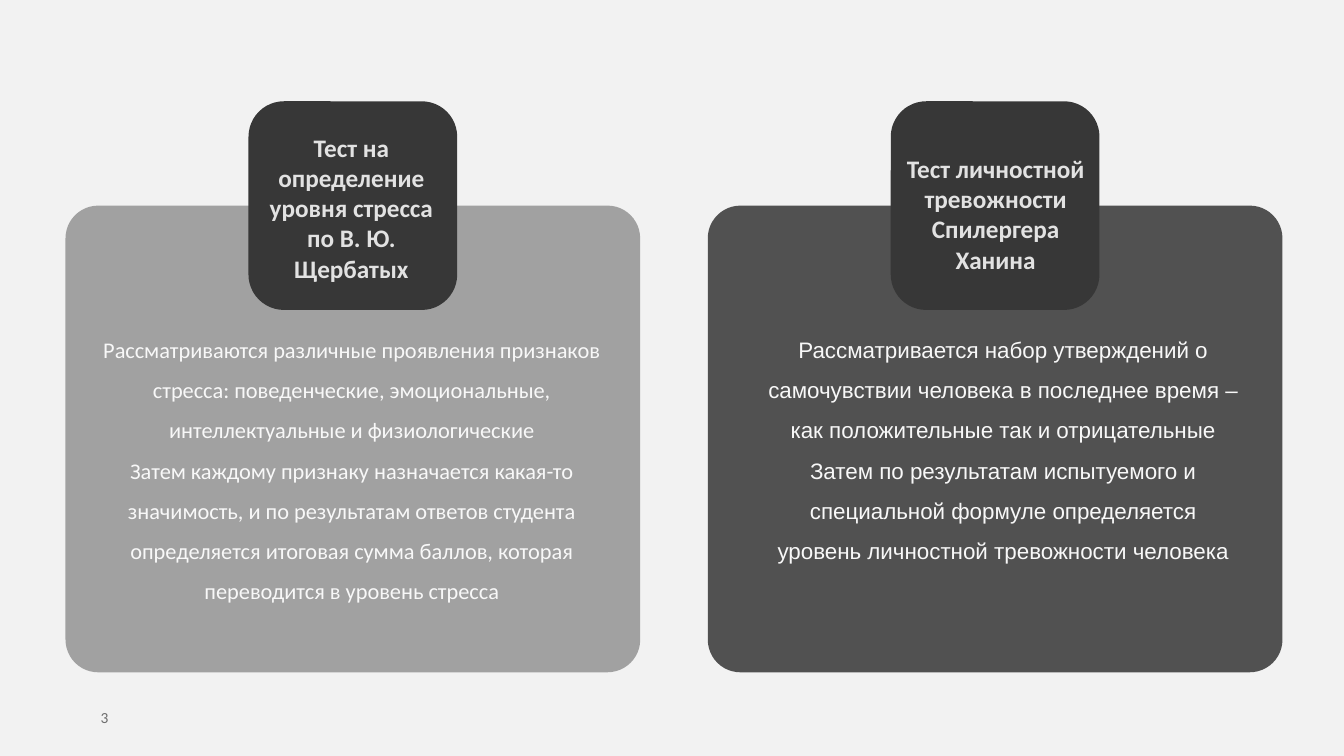
import pptx
import pptx.util
import pptx.dml.color
import pptx.enum.shapes
import pptx.enum.text
import pptx.oxml
import pptx.oxml.ns

RGBColor = pptx.dml.color.RGBColor
BACKGROUND = RGBColor(0xF2, 0xF2, 0xF2)
LIGHT_CARD = RGBColor(0x87, 0x87, 0x87)
DARK_CARD = RGBColor(0x1C, 0x1C, 0x1C)
BADGE = RGBColor(0x37, 0x37, 0x37)
HEADING = RGBColor(0xE2, 0xE2, 0xE2)
BODY = RGBColor(0xF8, 0xF8, 0xF8)
PAGE_NUMBER = RGBColor(0x6E, 0x6E, 0x6E)

# Heading and body boxes are (left, top, width, height) in inches.
TESTS = [
    {
        "heading": "Тест на определение уровня стресса по В. Ю. Щербатых",
        "heading_box": (2.56, 1.26, 1.85, 1.62),
        "body": [
            "Рассматриваются различные проявления признаков стресса: "
            "поведенческие, эмоциональные, интеллектуальные и физиологические",
            "Затем каждому признаку назначается какая-то значимость, и по "
            "результатам ответов студента определяется итоговая сумма баллов, "
            "которая переводится в уровень стресса",
        ],
        "body_box": (0.74, 3.15, 5.5, 2.89),
        "font": "Calibri",
        "color": LIGHT_CARD,
    },
    {
        "heading": "Тест личностной тревожности Спилергера Ханина",
        "heading_box": (8.72, 1.47, 2.31, 1.31),
        "body": [
            "Рассматривается набор утверждений о самочувствии человека в "
            "последнее время – как положительные так и отрицательные",
            "Затем по результатам испытуемого и специальной формуле "
            "определяется уровень личностной тревожности человека",
        ],
        "body_box": (7.52, 3.15, 4.86, 2.48),
        "font": "Arial",
        "color": DARK_CARD,
    },
]

SLIDE_W, SLIDE_H = 13.33, 7.5
CARD_LEFT, CARD_TOP, CARD_W, CARD_H = 0.65, 2.04, 5.7, 4.63
CARD_STEP = 6.37
BADGE_SIZE = 2.07
CENTER = pptx.enum.text.PP_ALIGN.CENTER
LEFT = pptx.enum.text.PP_ALIGN.LEFT


def add_rounded(slide, box, color, radius, opacity=100):
    """Add a borderless rounded rectangle; opacity is in percent."""
    panel = slide.shapes.add_shape(
        pptx.enum.shapes.MSO_SHAPE.ROUNDED_RECTANGLE, *map(pptx.util.Inches, box))
    panel.adjustments[0] = radius
    panel.shadow.inherit = False
    panel.line.fill.background()
    panel.fill.solid()
    panel.fill.fore_color.rgb = color
    if opacity < 100:
        tint = panel.fill._xPr.find(".//" + pptx.oxml.ns.qn("a:srgbClr"))
        alpha = pptx.oxml.parse_xml(
            f'<a:alpha {pptx.oxml.ns.nsdecls("a")} val="{opacity * 1000}"/>')
        tint.append(alpha)


def add_text(slide, box, lines, font, size, color, bold=False, align=CENTER, spacing=1.0):
    frame = slide.shapes.add_textbox(*map(pptx.util.Inches, box)).text_frame
    frame.word_wrap = True
    frame.text = "\n".join(lines)
    for paragraph in frame.paragraphs:
        paragraph.alignment = align
        paragraph.line_spacing = spacing
        paragraph.font.name = font
        paragraph.font.size = pptx.util.Pt(size)
        paragraph.font.bold = bold
        paragraph.font.color.rgb = color
    return frame


def main():
    deck = pptx.Presentation()
    deck.slide_width = pptx.util.Inches(SLIDE_W)
    deck.slide_height = pptx.util.Inches(SLIDE_H)
    slide = deck.slides.add_slide(deck.slide_layouts[6])
    slide.background.fill.solid()
    slide.background.fill.fore_color.rgb = BACKGROUND

    for column, test in enumerate(TESTS):
        left = CARD_LEFT + column * CARD_STEP
        add_rounded(slide, (left, CARD_TOP, CARD_W, CARD_H), test["color"], 0.07, 75)
        # The badge is centred on the card's top edge.
        badge_left = left + (CARD_W - BADGE_SIZE) / 2
        badge_top = CARD_TOP - BADGE_SIZE / 2
        add_rounded(slide, (badge_left, badge_top, BADGE_SIZE, BADGE_SIZE), BADGE, 0.17)
        add_text(slide, test["heading_box"], [test["heading"]], "Calibri", 18, HEADING,
                 bold=True)
        add_text(slide, test["body_box"], test["body"], test["font"], 16, BODY, spacing=1.5)

    number = add_text(slide, (0.9, 6.92, 2.14, 0.4), ["3"], "Calibri", 11, PAGE_NUMBER,
                      align=LEFT)
    number.vertical_anchor = pptx.enum.text.MSO_ANCHOR.MIDDLE
    deck.save("out.pptx")


if __name__ == "__main__":
    main()
